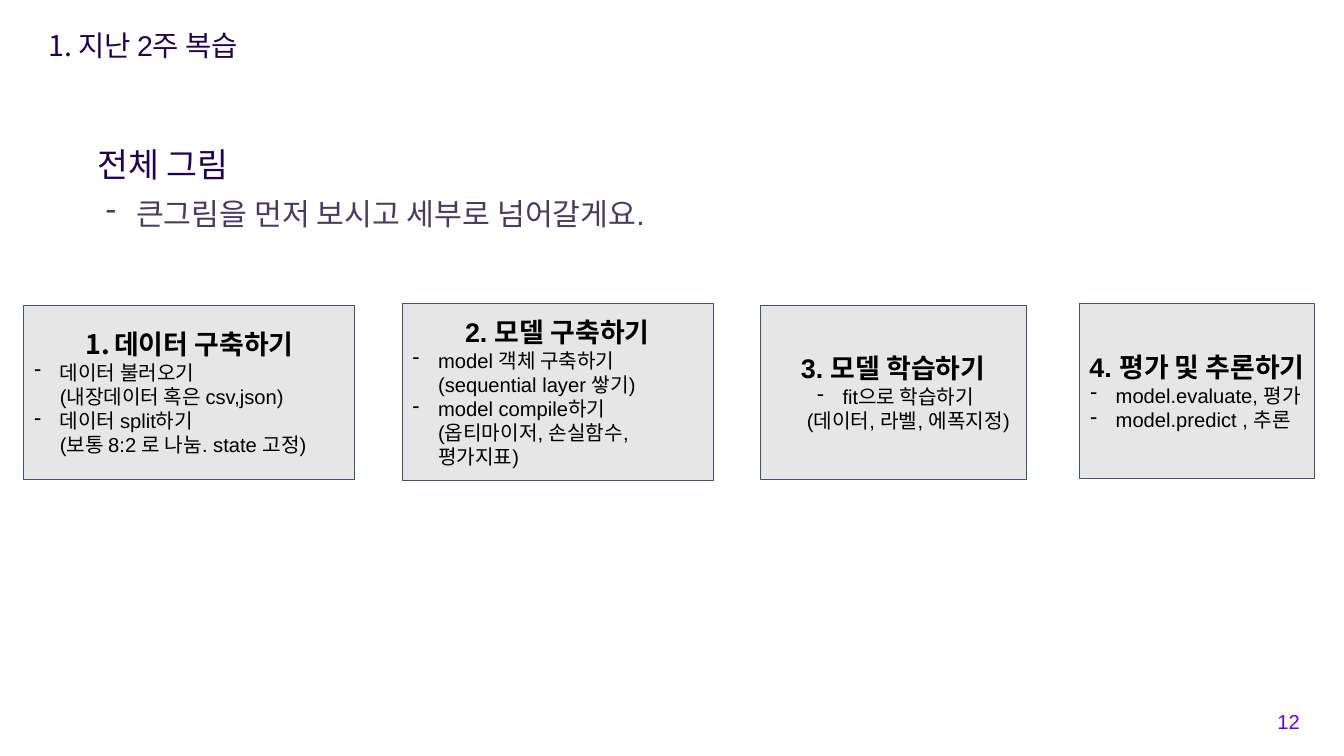
"""Build the review slide that outlines the four steps of model work."""
import pptx
import pptx.util
import pptx.dml.color
import pptx.enum.shapes
import pptx.enum.text
import pptx.oxml.ns
import lxml.etree

WIDE, HIGH = pptx.util.Inches(22.21), pptx.util.Inches(12.5)
FONT = "Arial"
HUES = {"title": "230054", "sub": "4B3A64", "page": "6700E6",
        "text": "000000", "fill": "E7E6E6", "line": "44546A"}
ALIGN = pptx.enum.text.PP_ALIGN
ANCHOR = pptx.enum.text.MSO_ANCHOR
LEFT, MID, RIGHT = ALIGN.LEFT, ALIGN.CENTER, ALIGN.RIGHT

STEPS = [
    ((1.76, 40.32, 24.58, 23.12), "데이터 구축하기", True, LEFT,
     [("-", "데이터 불러오기"), ("", "(내장데이터 혹은 csv,json)"),
      ("-", "데이터 split하기"), ("", "(보통 8:2 로 나눔. state 고정)")]),
    ((29.9, 40.16, 23.14, 23.44), "2. 모델 구축하기", False, LEFT,
     [("-", "model 객체 구축하기\v(sequential layer 쌓기)"),
      ("-", "model compile하기\v(옵티마이저, 손실함수, 평가지표)")]),
    ((56.55, 40.32, 19.81, 23.12), "3. 모델 학습하기", False, MID,
     [("-", "fit으로 학습하기\v(데이터, 라벨, 에폭지정)")]),
    ((80.32, 40.16, 17.51, 23.12), "4. 평가 및 추론하기", False, LEFT,
     [("-", "model.evaluate, 평가"), ("-", "model.predict , 추론")]),
]


def shade(name):
    """Return the named colour."""
    return pptx.dml.color.RGBColor.from_string(HUES[name])


def scale(box):
    """Turn percent shares of the slide into lengths."""
    x, y, w, h = box
    return [int(WIDE * x / 100), int(HIGH * y / 100),
            int(WIDE * w / 100), int(HIGH * h / 100)]


def mark(para, hue, sign, hang):
    """Give a paragraph a hanging indent and a dash or a number."""
    props = para._p.get_or_add_pPr()
    props.set("marL", str(pptx.util.Inches(0.5)))
    props.set("indent", str(-pptx.util.Inches(hang) if sign else 0))
    if not sign:
        return
    tag = pptx.oxml.ns.qn
    tint = lxml.etree.SubElement(props, tag("a:buClr"))
    lxml.etree.SubElement(tint, tag("a:srgbClr"), val=HUES[hue])
    if sign == "1.":
        lxml.etree.SubElement(props, tag("a:buAutoNum"), type="arabicPeriod")
    else:
        lxml.etree.SubElement(props, tag("a:buChar"), char=sign)


def write(para, text, size, hue, align=LEFT, bold=False, sign=None, hang=0.42):
    """Fill and format one paragraph."""
    para.text = text
    if sign is not None:
        mark(para, hue, sign, hang)
    para.alignment = align
    font = para.font
    font.name, font.size, font.bold = FONT, pptx.util.Pt(size), bold
    font.color.rgb = shade(hue)


def title(slide, box):
    """Place the numbered slide title."""
    shape = slide.shapes.title
    shape.left, shape.top, shape.width, shape.height = scale(box)
    frame = shape.text_frame
    frame.auto_size = pptx.enum.text.MSO_AUTO_SIZE.NONE
    frame.vertical_anchor = ANCHOR.TOP
    write(frame.paragraphs[0], "지난 2주 복습", 34, "title", sign="1.", hang=0.49)


def label(slide, box, text, size, hue, anchor=ANCHOR.TOP, **style):
    """Place one line of free text and return its paragraph."""
    frame = slide.shapes.add_textbox(*scale(box)).text_frame
    frame.word_wrap = True
    frame.vertical_anchor = anchor
    write(frame.paragraphs[0], text, size, hue, **style)
    return frame.paragraphs[0]


def step(slide, box, head, auto, align, items):
    """Draw one step card with its heading and points."""
    kind = pptx.enum.shapes.MSO_SHAPE.RECTANGLE
    card = slide.shapes.add_shape(kind, *scale(box))
    card.shadow.inherit = False
    card.fill.solid()
    card.fill.fore_color.rgb = shade("fill")
    card.line.color.rgb = shade("line")
    card.line.width = pptx.util.Pt(0.75)
    frame = card.text_frame
    frame.word_wrap = True
    frame.vertical_anchor = ANCHOR.MIDDLE
    frame.margin_top = frame.margin_bottom = pptx.util.Inches(0.1)
    write(frame.paragraphs[0], head, 32, "text", MID, True,
          "1." if auto else None, 0.47)
    for sign, text in items:
        write(frame.add_paragraph(), text, 24, "text", align, sign=sign)


def main():
    """Build and save the slide."""
    deck = pptx.Presentation()
    deck.slide_width, deck.slide_height = WIDE, HIGH
    slide = deck.slides.add_slide(deck.slide_layouts[5])
    title(slide, (3.11, 3.36, 78.39, 5.84))
    label(slide, (6.8, 18.64, 67.76, 5.84), "전체 그림", 40, "title")
    note = label(slide, (7.43, 23.04, 86.81, 15.36),
                 "큰그림을 먼저 보시고 세부로 넘어갈게요.", 36, "sub",
                 sign="-", hang=0.5)
    note.line_spacing = 1.5
    for part in STEPS:
        step(slide, *part)
    label(slide, (74.65, 92.8, 22.51, 5.36), "12", 24, "page",
          ANCHOR.MIDDLE, align=RIGHT)
    deck.save("out.pptx")


if __name__ == "__main__":
    main()
